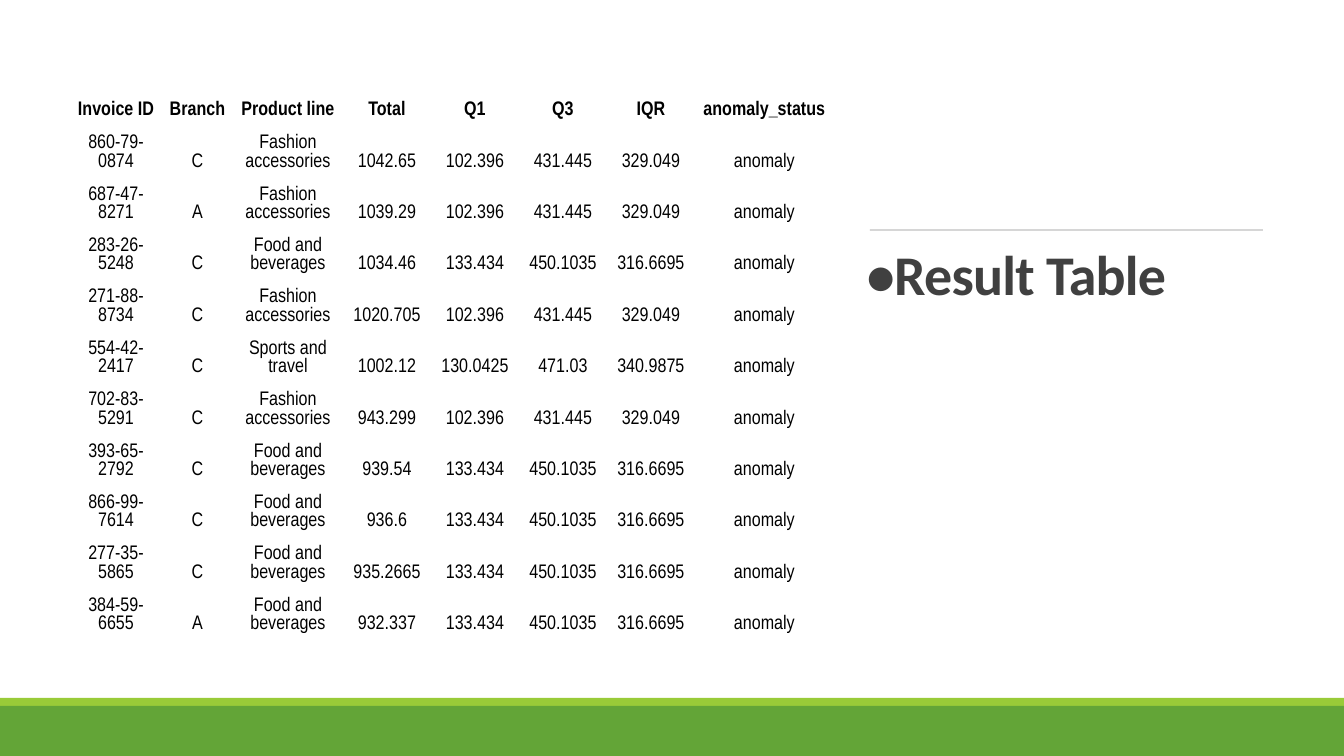
from lxml import etree
from pptx import Presentation
from pptx import util as u
from pptx.dml.color import RGBColor
from pptx.enum import shapes, text
from pptx.oxml.ns import qn

EMU_PER_PX = 914400 / 100.8
WIDTH, HEIGHT = 1344, 756
COLORS = {
    "paper": "FFFFFF",
    "rule": "808080",
    "title": "404040",
    "ink": "000000",
    "lime": "99CB38",
    "green": "63A537",
}
HEADERS = ["Invoice ID", "Branch", "Product line", "Total", "Q1", "Q3", "IQR", "anomaly_status"]
COLUMN_WIDTHS = [92, 71, 110, 88, 88, 88, 88, 139]
HEADER_HEIGHT = 28
FASHION, FOOD, SPORTS = "Fashion accessories", "Food and beverages", "Sports and travel"
QUARTILES = {
    FASHION: ["102.396", "431.445", "329.049"],
    FOOD: ["133.434", "450.1035", "316.6695"],
    SPORTS: ["130.0425", "471.03", "340.9875"],
}
INVOICES = [
    ("860-79-0874", "C", FASHION, "1042.65"),
    ("687-47-8271", "A", FASHION, "1039.29"),
    ("283-26-5248", "C", FOOD, "1034.46"),
    ("271-88-8734", "C", FASHION, "1020.705"),
    ("554-42-2417", "C", SPORTS, "1002.12"),
    ("702-83-5291", "C", FASHION, "943.299"),
    ("393-65-2792", "C", FOOD, "939.54"),
    ("866-99-7614", "C", FOOD, "936.6"),
    ("277-35-5865", "C", FOOD, "935.2665"),
    ("384-59-6655", "A", FOOD, "932.337"),
]


def px(length):
    """Turn pixels into EMU."""
    return u.Emu(round(length * EMU_PER_PX))


def color(name):
    """Look up a named colour."""
    return RGBColor.from_string(COLORS[name])


def add_run(paragraph, words, font_name, size, color_name, bold):
    """Add one styled run to a paragraph."""
    run = paragraph.add_run()
    run.text = words
    run.font.name = font_name
    run.font.size = u.Pt(size)
    run.font.bold = bold
    run.font.color.rgb = color(color_name)
    return run


def add_band(slide, left, top, width, height, color_name):
    """Draw a plain filled rectangle."""
    band = slide.shapes.add_shape(
        shapes.MSO_SHAPE.RECTANGLE, px(left), px(top), px(width), px(height))
    band.shadow.inherit = False
    band.fill.solid()
    band.fill.fore_color.rgb = color(color_name)
    band.line.fill.background()


def add_footer(slide, left, top, width, height):
    """Draw the green footer with its lime edge."""
    edge = 8
    add_band(slide, left, top, width, edge, "lime")
    add_band(slide, left, top + edge, width, height - edge, "green")


def add_heading(slide, left, top, width, height):
    """Draw the thin rule and the heading under it."""
    rule = slide.shapes.add_connector(
        shapes.MSO_CONNECTOR.STRAIGHT, px(left + 3), px(top), px(left + width - 11), px(top))
    rule.line.width = u.Pt(0.5)
    rule.line.color.rgb = color("rule")
    tint = rule.line.fill._xPr.find(".//" + qn("a:srgbClr"))
    etree.SubElement(tint, qn("a:alpha"), val="90000")
    etree.SubElement(rule._element.spPr, qn("a:effectLst"))

    heading = slide.shapes.add_textbox(px(left), px(top + 12), px(width), px(height - 12))
    frame = heading.text_frame
    frame.word_wrap = True
    frame.margin_left = frame.margin_right = 0
    frame.margin_top = frame.margin_bottom = px(5)
    line = frame.paragraphs[0]
    line.line_spacing = 0.9
    line.space_after = u.Pt(6)
    run = add_run(line, "•Result Table", "Calibri", 40, "title", True)
    run.font._element.set("spc", "-50")


def add_results(slide, left, top, width, height):
    """Draw the table of anomalous invoices."""
    rows = [HEADERS] + [[*invoice[:3], invoice[3], *QUARTILES[invoice[2]], "anomaly"]
                        for invoice in INVOICES]
    results = slide.shapes.add_table(
        len(rows), len(HEADERS), px(left), px(top), px(width), px(height)).table
    results.first_row = results.horz_banding = False
    for column, column_width in zip(results.columns, COLUMN_WIDTHS):
        column.width = px(column_width)
    row_height = (height - HEADER_HEIGHT) / len(INVOICES)
    for r, values in enumerate(rows):
        results.rows[r].height = px(row_height if r else HEADER_HEIGHT)
        for c, value in enumerate(values):
            cell = results.cell(r, c)
            cell.fill.background()
            cell.vertical_anchor = text.MSO_ANCHOR.BOTTOM
            cell.margin_left = cell.margin_right = cell.margin_top = px(1)
            cell.margin_bottom = 0
            line = cell.text_frame.paragraphs[0]
            line.alignment = text.PP_ALIGN.CENTER
            add_run(line, value, "Arial Narrow", 14, "ink", r == 0)


def main():
    """Build and save the result table slide."""
    deck = Presentation()
    deck.slide_width, deck.slide_height = px(WIDTH), px(HEIGHT)
    slide = deck.slides.add_slide(deck.slide_layouts[6])
    footer_top = 698
    add_band(slide, 0, 0, WIDTH, footer_top, "paper")
    add_heading(slide, 867, 230, 407, 416)
    add_footer(slide, 0, footer_top, WIDTH, HEIGHT - footer_top)
    add_results(slide, 70, 92, sum(COLUMN_WIDTHS), 542)
    deck.save("out.pptx")


if __name__ == "__main__":
    main()
